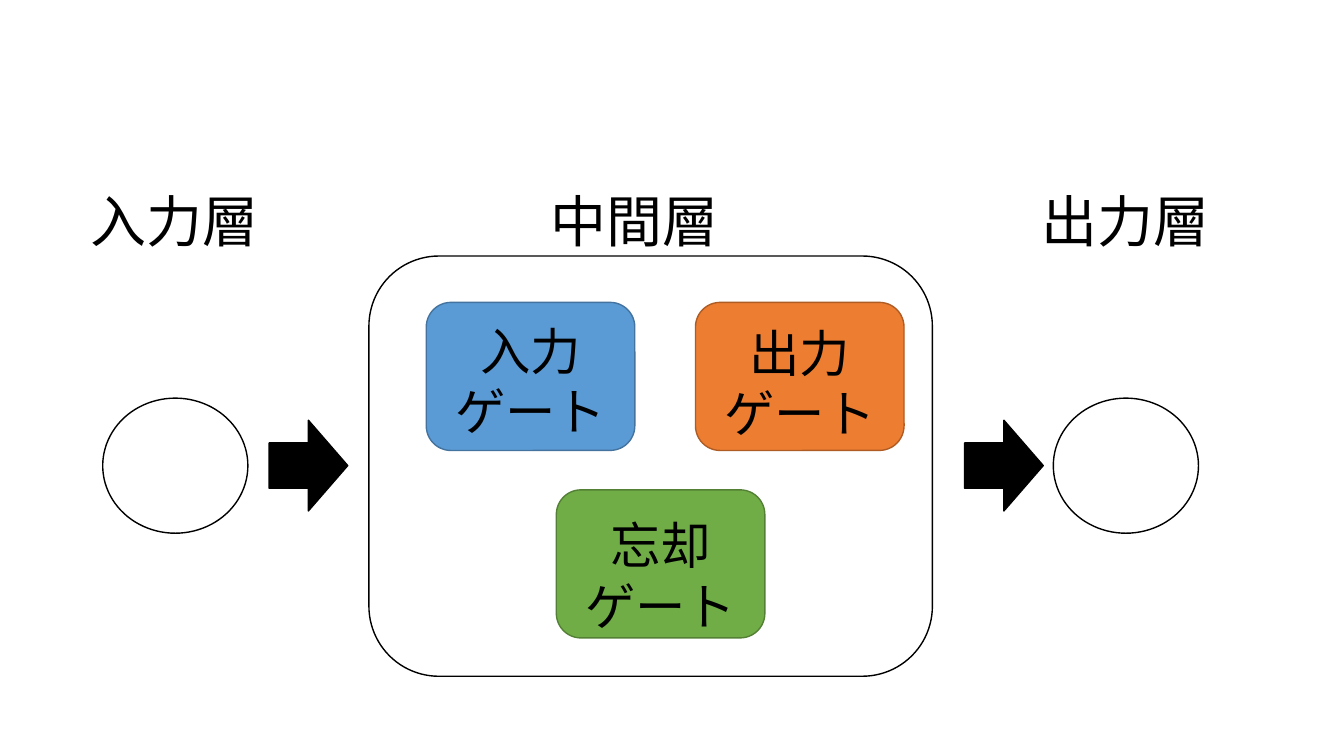
from collections import namedtuple
from dataclasses import dataclass

from lxml import etree
from pptx import Presentation
from pptx import util as u
from pptx.dml.color import RGBColor
from pptx.enum import shapes, text
from pptx.oxml import ns


@dataclass(frozen=True)
class Theme:
    font: str = "Noto Sans CJK JP"
    ink: str = "000000"
    paper: str = "FFFFFF"
    blue: tuple = ("5B9BD5", "43739E")
    green: tuple = ("70AD47", "538035")
    orange: tuple = ("ED7D31", "AF5C24")
    title_size: int = 40
    gate_size: int = 36
    line_pitch: float = 1.2
    line_width: int = 1


THEME = Theme()
KIND = shapes.MSO_SHAPE
Box = namedtuple("Box", "left top width height")


def in_points(box):
    return [u.Pt(length) for length in box]


def draw_shape(parts, kind, box, fill, line):
    shape = parts.add_shape(kind, *in_points(box))
    shape.shadow.inherit = False
    shape.fill.solid()
    shape.fill.fore_color.rgb = RGBColor.from_string(fill)
    shape.line.color.rgb = RGBColor.from_string(line)
    shape.line.width = u.Pt(THEME.line_width)


def draw_text(parts, box, lines, size, align):
    frame = parts.add_textbox(*in_points(box)).text_frame
    frame.word_wrap = False
    frame.auto_size = text.MSO_AUTO_SIZE.SHAPE_TO_FIT_TEXT
    # The top inset balances the fixed line pitch
    frame.margin_top, frame.margin_bottom = u.Pt(6.8), u.Pt(0.4)
    for number, line in enumerate(lines):
        para = frame.add_paragraph() if number else frame.paragraphs[0]
        para.alignment = align
        para.line_spacing = u.Pt(size * THEME.line_pitch)
        span = para.add_run()
        span.text = line
        span.font.size = u.Pt(size)
        span.font.color.rgb = RGBColor.from_string(THEME.ink)
        span.font.name = THEME.font
        east_asian = etree.SubElement(span.font._element, ns.qn("a:ea"))
        east_asian.set("typeface", THEME.font)


def draw_node(parts, box):
    draw_shape(parts, KIND.OVAL, box, THEME.paper, THEME.ink)


def draw_hidden_layer(parts, box):
    draw_shape(parts, KIND.ROUNDED_RECTANGLE, box, THEME.paper, THEME.ink)
    gate_width, gate_height = 149, 105.8
    label_width, label_height = 123.8, 94.3
    # Name, colours, offset in the layer, drop of the label in the gate
    gates = [
        ("入力", THEME.blue, 41, 33.1, 5.8),
        ("忘却", THEME.green, 133.9, 167, 10.8),
        ("出力", THEME.orange, 233.3, 33.1, 7.2),
    ]
    for name, colours, across, down, drop in gates:
        gate = Box(box.left + across, box.top + down, gate_width, gate_height)
        draw_shape(parts, KIND.ROUNDED_RECTANGLE, gate, *colours)
        label = Box(gate.left + (gate_width - label_width) / 2,
                    gate.top + drop, label_width, label_height)
        draw_text(parts, label, [name, "ゲート"], THEME.gate_size,
                  text.PP_ALIGN.CENTER)


def draw_titles(parts, box, titles):
    # Each title is centred on its own axis within the band
    width = 135.2
    for title, axis in titles:
        place = Box(box.left + axis - width / 2, box.top, width, box.height)
        draw_text(parts, place, [title], THEME.title_size, text.PP_ALIGN.LEFT)


def draw_arrow(parts, box):
    draw_shape(parts, KIND.RIGHT_ARROW, box, THEME.ink, THEME.ink)


def draw_network(page, box):
    # Layers
    layers = page.shapes.add_group_shape().shapes
    for left in (73.4, 752.4):
        draw_node(layers, Box(box.left + left, box.top + 284.4, 103.7, 96.5))
    draw_hidden_layer(
        layers, Box(box.left + 263.5, box.top + 182.9, 402.5, 300.2))

    # Layer titles
    titles = page.shapes.add_group_shape().shapes
    draw_titles(titles, Box(box.left, box.top + 126.7, box.width, 55.2),
                [("入力層", 125.3), ("出力層", 804.2), ("中間層", 453.5)])

    # Flow between layers
    for left in (192.2, 689):
        draw_arrow(page.shapes,
                   Box(box.left + left, box.top + 300.2, 56.2, 64.8))


deck = Presentation()
deck.slide_width, deck.slide_height = u.Pt(960), u.Pt(540)
page = deck.slides.add_slide(deck.slide_layouts[6])
draw_network(page, Box(0, 0, 960, 540))
deck.save("out.pptx")
